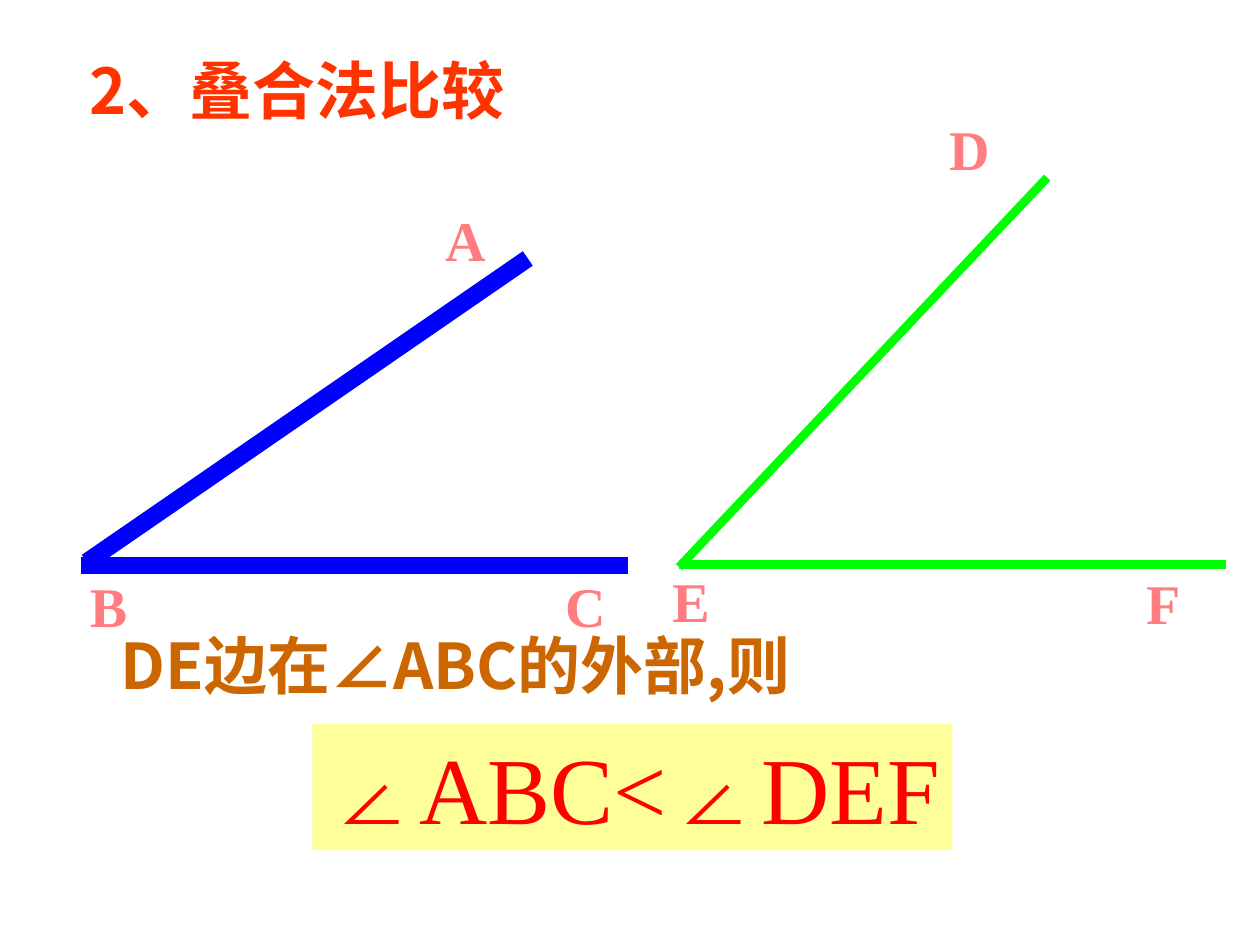
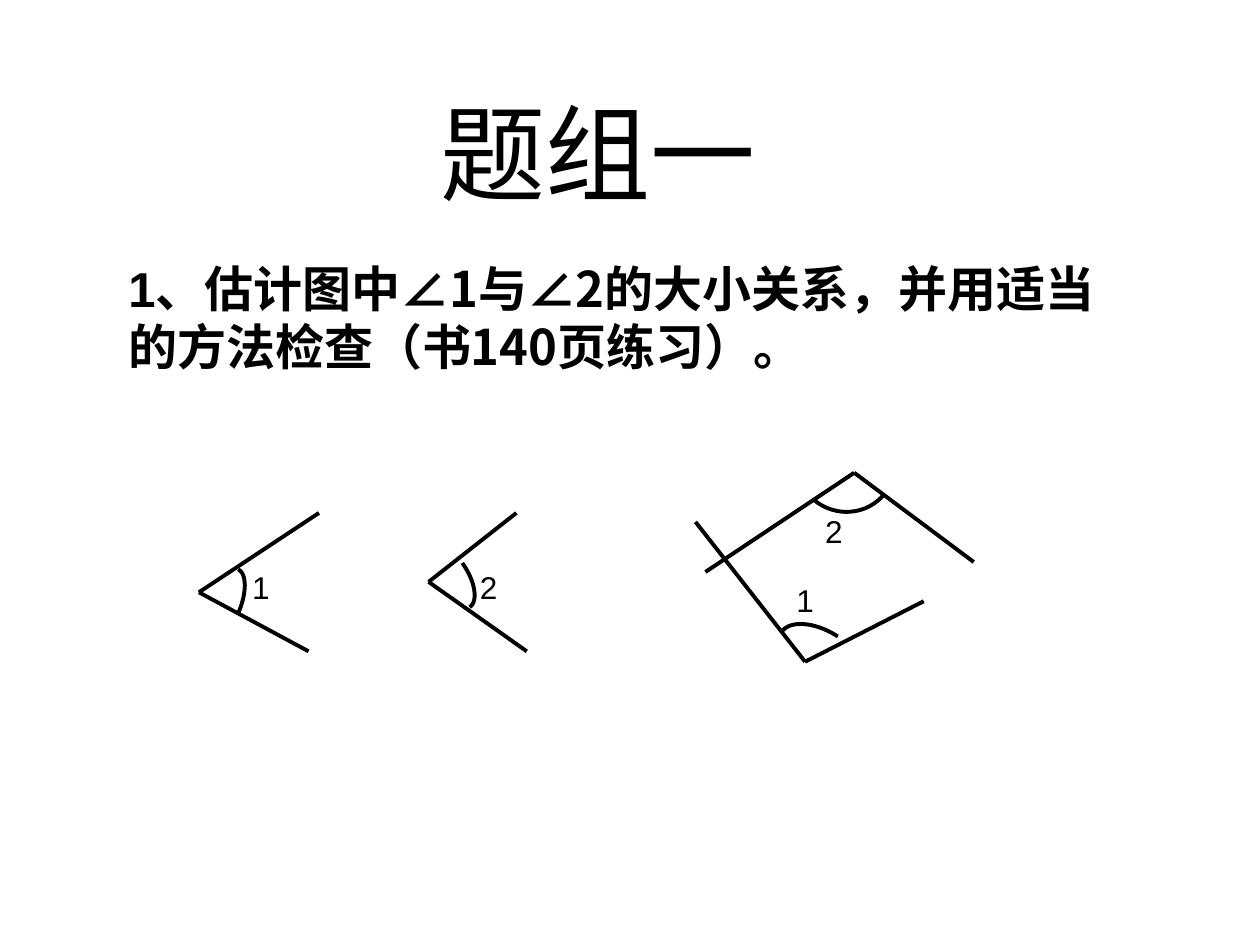
from itertools import pairwise
from lxml.etree import SubElement
from pptx import Presentation
from pptx.dml.color import RGBColor
from pptx.enum.shapes import MSO_CONNECTOR, MSO_SHAPE
from pptx.enum.text import MSO_ANCHOR, MSO_AUTO_SIZE, PP_ALIGN
from pptx.oxml.ns import qn
from pptx.util import Cm, Pt

SERIF = "Times New Roman"
SANS = "Arial"
CJK = "Noto Sans CJK SC"
CJK_JP = "Noto Sans CJK JP"
BLACK = "000000"


def rgb(value):
    return RGBColor.from_string(value)


def write(sp, *texts, size, color=BLACK, fonts=(SANS,), east=CJK, bold=False,
          align=PP_ALIGN.LEFT, anchor=MSO_ANCHOR.TOP, before=0, wrap=True):
    tf = sp.text_frame
    tf.word_wrap = wrap
    tf.auto_size = MSO_AUTO_SIZE.NONE
    tf.vertical_anchor = anchor
    p = tf.paragraphs[0]
    p.alignment = align
    p.space_before = Pt(before)
    for text, font in zip(texts, fonts):
        r = p.add_run()
        r.text = text
        r.font.size = Pt(size)
        r.font.bold = bold
        r.font.name = font
        r.font.color.rgb = rgb(color)
        SubElement(r.font._element, qn("a:ea"), typeface=east)


prs = Presentation()
prs.slide_width, prs.slide_height = Cm(25.4), Cm(19.05)
title_only = prs.slide_layouts[5]

titles = [
    ("2、叠合法比较", (1.55, 0.91, 8.9, 1.78),
     dict(size=36, color="FF3300", fonts=(CJK_JP,), east=CJK_JP, bold=True)),
    ("题组一", (8.46, 1.47, 7.19, 3.18),
     dict(size=60, align=PP_ALIGN.CENTER, anchor=MSO_ANCHOR.MIDDLE)),
]
for text, box, fmt in titles:
    s = prs.slides.add_slide(title_only)
    sp = s.shapes.title
    sp.left, sp.top, sp.width, sp.height = map(Cm, box)
    write(sp, text, **fmt)
overlay, exercise = prs.slides

sp = overlay.shapes.add_shape(MSO_SHAPE.RECTANGLE, Cm(6.3), Cm(14.6), Cm(12.9), Cm(2.54))
sp.shadow.inherit = False
sp.fill.solid()
sp.fill.fore_color.rgb = rgb("FFFF99")
sp.line.fill.background()
write(sp, "∠ABC<∠DEF", size=54, color="FF0000", fonts=(SERIF,),
      align=PP_ALIGN.CENTER, before=33.8)

sp = overlay.shapes.add_textbox(Cm(2.18), Cm(12.5), Cm(14.75), Cm(1.78))
write(sp, "DE边在∠ABC的外部,则", size=36, color="CC6600", fonts=(CJK,), bold=True)

sp = exercise.shapes.add_textbox(Cm(2.34), Cm(5.08), Cm(20.75), Cm(2.64))
write(sp, "1、估计图中", "∠1与∠2的大小关系，并用适当的方法检查（书140页练习）。",
      size=28, fonts=(SANS, CJK), bold=True)

vertex = dict(size=32, color="FF7C80", fonts=(SERIF,), bold=True,
              align=PP_ALIGN.CENTER, before=20)
number = dict(size=18, align=PP_ALIGN.CENTER, wrap=False)
big = (overlay, (1.9, 1.63), vertex)
small = (exercise, (0.86, 1.02), number)

figures = [
    (big, "0000FF", 10,
     [[(1.75, 11.33), (10.64, 5.21)], [(1.63, 11.4), (12.65, 11.4)]],
     [],
     [("B", 1.24, 11.4), ("C", 10.85, 11.4), ("A", 8.43, 4.01)]),
    (big, "00FF00", 5,
     [[(13.69, 11.38), (24.71, 11.38)], [(13.69, 11.43), (21.11, 3.58)]],
     [],
     [("E", 12.98, 11.3), ("D", 18.59, 2.18), ("F", 22.5, 11.33)]),
    (small, BLACK, 2.25,
     [[(6.43, 10.34), (4.01, 11.94), (6.22, 13.13)]],
     [[(4.8, 11.48), (4.98, 11.56), (4.98, 11.96), (4.8, 12.37)]],
     [("1", 4.83, 11.33)]),
    (small, BLACK, 2.25,
     [[(10.41, 10.34), (8.64, 11.73), (10.62, 13.13)]],
     [[(9.32, 11.35), (9.58, 11.71), (9.65, 12.12), (9.47, 12.24)]],
     [("2", 9.42, 11.33)]),
    (small, BLACK, 2.25,
     [[(14.02, 10.52), (16.23, 13.34), (18.62, 12.12)],
      [(14.22, 11.53), (17.22, 9.53), (19.63, 11.33)]],
     [[(15.75, 12.75), (15.9, 12.5), (16.41, 12.52), (16.89, 12.83)],
      [(16.41, 10.08), (16.84, 10.44), (17.48, 10.39), (17.83, 9.96)]],
     [("1", 15.8, 11.58), ("2", 16.38, 10.19)]),
]

STEPS = 16
for (s, label_size, fmt), color, width, rays, arcs, labels in figures:
    shapes = s.shapes.add_group_shape().shapes
    strokes = []
    for ray in rays:
        for start, end in pairwise(ray):
            sp = shapes.add_connector(MSO_CONNECTOR.STRAIGHT, *map(Cm, start + end))
            SubElement(sp._element.spPr, qn("a:effectLst"))
            strokes.append(sp)
    for arc in arcs:
        points = []
        for i in range(STEPS + 1):
            t = i / STEPS
            weights = ((1 - t) ** 3, 3 * t * (1 - t) ** 2, 3 * t * t * (1 - t), t ** 3)
            points.append([Cm(sum(w * v for w, v in zip(weights, axis))) for axis in zip(*arc)])
        fb = shapes.build_freeform(*points[0])
        fb.add_line_segments(points[1:], close=False)
        sp = fb.convert_to_shape()
        sp.shadow.inherit = False
        sp.fill.background()
        strokes.append(sp)
    for sp in strokes:
        sp.line.color.rgb = rgb(color)
        sp.line.width = Pt(width)
    for text, x, y in labels:
        sp = shapes.add_textbox(*map(Cm, (x, y) + label_size))
        write(sp, text, **fmt)

prs.save("out.pptx")
